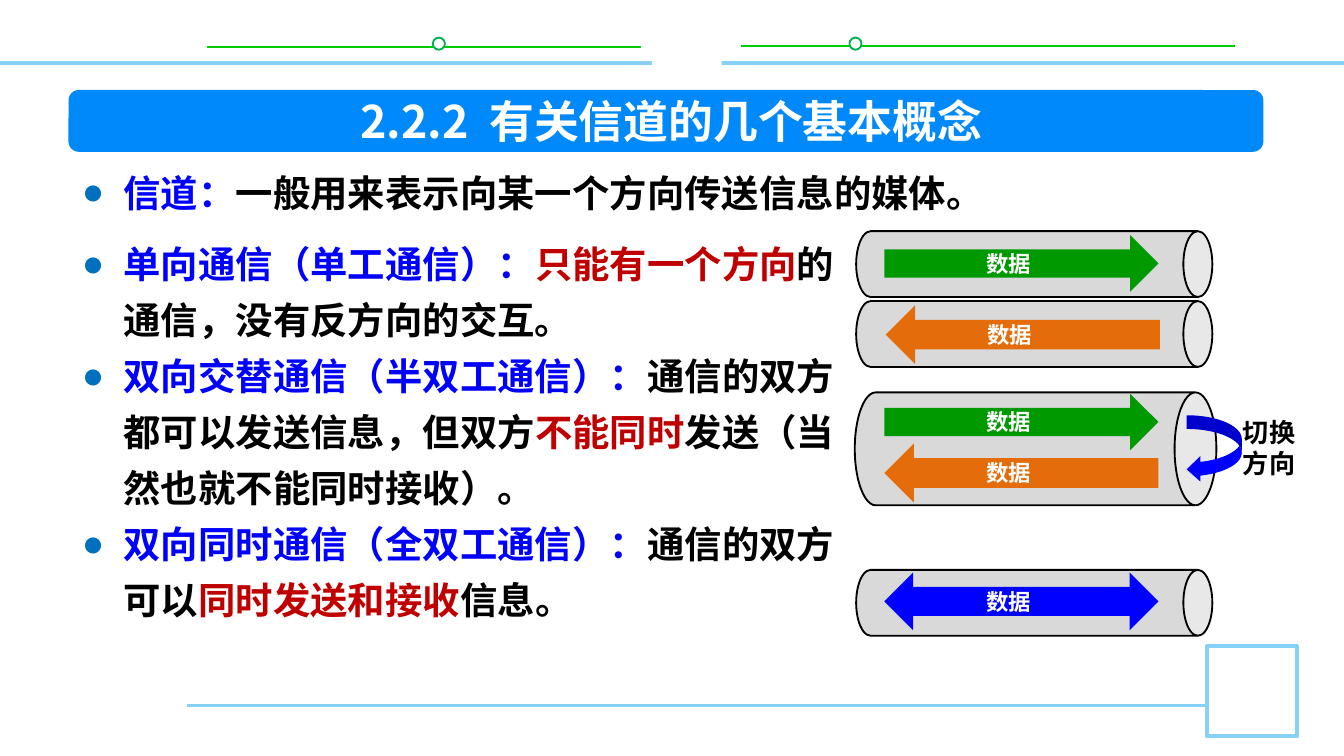
import pptx
import pptx.dml.color
import pptx.enum.shapes
import pptx.enum.text
import pptx.oxml.ns
import pptx.util
import lxml.etree

Inches = pptx.util.Inches
Pt = pptx.util.Pt
SHAPE = pptx.enum.shapes.MSO_SHAPE
ALIGN = pptx.enum.text.PP_ALIGN
ANCHOR = pptx.enum.text.MSO_ANCHOR
FIT = pptx.enum.text.MSO_AUTO_SIZE
FONT = "Noto Sans CJK SC"
BLACK, WHITE, BLUE, RED = "000000", "FFFFFF", "0000FF", "C00000"
GREEN, ORANGE, SKY = "009900", "E46C0A", "85D1F7"

CHANNEL = [[("信道：", BLUE), ("一般用来表示向某一个方向传送信息的媒体。", BLACK)]]
MODES = [
    [("单向通信（单工通信）：", BLUE), ("只能有一个方向", RED), ("的通信，没有反方向的交互。", BLACK)],
    [("双向交替通信（半双工通信）：", BLUE), ("通信的双方都可以发送信息，但双方", BLACK),
     ("不能同时", RED), ("发送（当然也就不能同时接收）。", BLACK)],
    [("双向同时通信（全双工通信）：", BLUE), ("通信的双方可以", BLACK),
     ("同时发送和接收", RED), ("信息。", BLACK)],
]


def color(value):
    """Turn a hex string into a colour."""
    return pptx.dml.color.RGBColor.from_string(value)


def add_child(parent, tag, **attributes):
    """Append a DrawingML element to a parent."""
    child = lxml.etree.SubElement(parent, pptx.oxml.ns.qn(tag))
    for name, value in attributes.items():
        child.set(name, value)
    return child


def add_span(para, text, size, value):
    """Add one bold run to a paragraph."""
    span = para.add_run()
    span.text = text
    span.font.size = Pt(size)
    span.font.bold = True
    span.font.name = FONT
    span.font.color.rgb = color(value)
    add_child(span._r.get_or_add_rPr(), "a:ea", typeface=FONT)


def place(item, left, top, width, height):
    """Move and resize a shape, in inches."""
    item.left, item.top = Inches(left), Inches(top)
    item.width, item.height = Inches(width), Inches(height)


def add_figure(page, kind, box, fill, line=None, weight=1):
    """Add a flat preset shape."""
    figure = page.shapes.add_shape(kind, *map(Inches, box))
    figure.shadow.inherit = False
    figure.fill.solid()
    figure.fill.fore_color.rgb = color(fill)
    if line:
        figure.line.color.rgb = color(line)
        figure.line.width = Pt(weight)
    else:
        figure.line.fill.background()
    return figure


def add_rule(page, left, right, top, value, weight):
    """Add a horizontal line."""
    rule = page.shapes.add_connector(
        pptx.enum.shapes.MSO_CONNECTOR.STRAIGHT,
        Inches(left), Inches(top), Inches(right), Inches(top))
    rule.line.color.rgb = color(value)
    rule.line.width = Pt(weight)
    add_child(rule._element.spPr, "a:effectLst")


def add_frame(page):
    """Draw the ornaments along the top and bottom edges."""
    for left, right, top, bead in ((1.54, 4.77, 0.35, 3.22), (5.51, 9.19, 0.34, 6.32)):
        add_rule(page, left, right, top, "00CC00", 1)
        add_figure(page, SHAPE.OVAL, (bead, 0.28, 0.09, 0.09), WHITE, "00B050")
    add_rule(page, 1.39, 8.98, 5.25, SKY, 1.5)
    add_figure(page, SHAPE.RECTANGLE, (8.98, 4.81, 0.67, 0.67), WHITE, SKY, 2)
    add_rule(page, 0, 10, 0.47, SKY, 2)
    add_figure(page, SHAPE.RECTANGLE, (4.85, 0.14, 0.52, 0.51), WHITE)


def add_heading(page, left, top, width, height):
    """Set the title on its rounded bar."""
    add_figure(page, SHAPE.ROUNDED_RECTANGLE, (left, top, width, height), "0089FA")
    title = page.shapes.title
    page.shapes._spTree.append(title._element)
    place(title, left + 0.86, top + 0.03, 7.25, 0.4)
    frame = title.text_frame
    frame.auto_size = FIT.NONE
    frame.vertical_anchor = ANCHOR.MIDDLE
    para = frame.paragraphs[0]
    para.alignment = ALIGN.CENTER
    add_span(para, "2.2.2  有关信道的几个基本概念", 24, WHITE)


def fill_list(holder, box, items):
    """Write a bulleted list into a body placeholder."""
    place(holder, *box)
    frame = holder.text_frame
    frame.auto_size = FIT.NONE
    frame.vertical_anchor = ANCHOR.TOP
    for number, parts in enumerate(items):
        para = frame.add_paragraph() if number else frame.paragraphs[0]
        props = para._p.get_or_add_pPr()
        props.set("marL", str(Inches(0.31)))
        props.set("indent", str(-Inches(0.31)))
        add_child(add_child(props, "a:buClr"), "a:srgbClr", val="0070C0")
        add_child(props, "a:buChar", char="●")
        para.line_spacing = Pt(30)
        para.space_before = Pt(0)
        for text, value in parts:
            add_span(para, text, 20, value)


def add_label(page, box, lines, size, value):
    """Add an unwrapped text box with one paragraph per line."""
    label = page.shapes.add_textbox(*map(Inches, box))
    frame = label.text_frame
    frame.word_wrap = False
    frame.auto_size = FIT.SHAPE_TO_FIT_TEXT
    for number, text in enumerate(lines):
        para = frame.add_paragraph() if number else frame.paragraphs[0]
        add_span(para, text, size, value)


def add_pipe(page, left, top, width, height, cap):
    """Lay a can on its side so that it fills the box."""
    box = (left + (width - height) / 2, top + (height - width) / 2, height, width)
    pipe = add_figure(page, SHAPE.CAN, box, "D9D9D9", BLACK)
    pipe.adjustments[0] = cap
    pipe.rotation = 90


def add_data_arrow(page, kind, left, top, height, fill):
    """Add a block arrow with its data label in the middle."""
    add_figure(page, kind, (left, top, 2.04, height), fill)
    add_label(page, (left + 0.66, top + height / 2 - 0.15, 0.54, 0.3), ["数据"], 12, WHITE)


def add_switch(page, left, top):
    """Add the curved arrow that marks a change of direction."""
    turn = add_figure(page, SHAPE.CURVED_LEFT_ARROW, (left, top, 0.41, 0.5), BLUE)
    for number, value in enumerate((0.25, 0.47, 0.25)):
        turn.adjustments[number] = value
    add_label(page, (left + 0.32, top - 0.04, 0.59, 0.57), ["切换", "方向"], 14, BLACK)


def add_diagrams(page, left, top):
    """Draw the simplex, half duplex and full duplex channels."""
    for offset in (0, 0.52, 2.52):
        add_pipe(page, left, top + offset, 2.65, 0.49, 0.44)
    add_pipe(page, left - 0.01, top + 1.2, 2.69, 0.84, 0.37)
    add_switch(page, left + 2.46, top + 1.37)
    for kind, shift, offset, height, fill in (
            (SHAPE.RIGHT_ARROW, 0.21, 0.03, 0.42, GREEN),
            (SHAPE.LEFT_ARROW, 0.22, 0.55, 0.44, ORANGE),
            (SHAPE.RIGHT_ARROW, 0.21, 1.21, 0.42, GREEN),
            (SHAPE.LEFT_ARROW, 0.21, 1.58, 0.44, ORANGE),
            (SHAPE.LEFT_RIGHT_ARROW, 0.21, 2.54, 0.43, BLUE)):
        add_data_arrow(page, kind, left + shift, top + offset, height, fill)


def main():
    """Build the slide and save the deck."""
    deck = pptx.Presentation()
    deck.slide_width = Inches(10)
    deck.slide_height = deck.slide_width * 9 // 16
    page = deck.slides.add_slide(deck.slide_layouts[3])
    add_frame(page)
    add_heading(page, 0.51, 0.67, 8.89, 0.46)
    fill_list(page.placeholders[1], (0.51, 1.13, 8.86, 3.47), CHANNEL)
    fill_list(page.placeholders[2], (0.51, 1.66, 5.96, 3.47), MODES)
    add_diagrams(page, 6.37, 1.72)
    deck.save("out.pptx")


if __name__ == "__main__":
    main()
